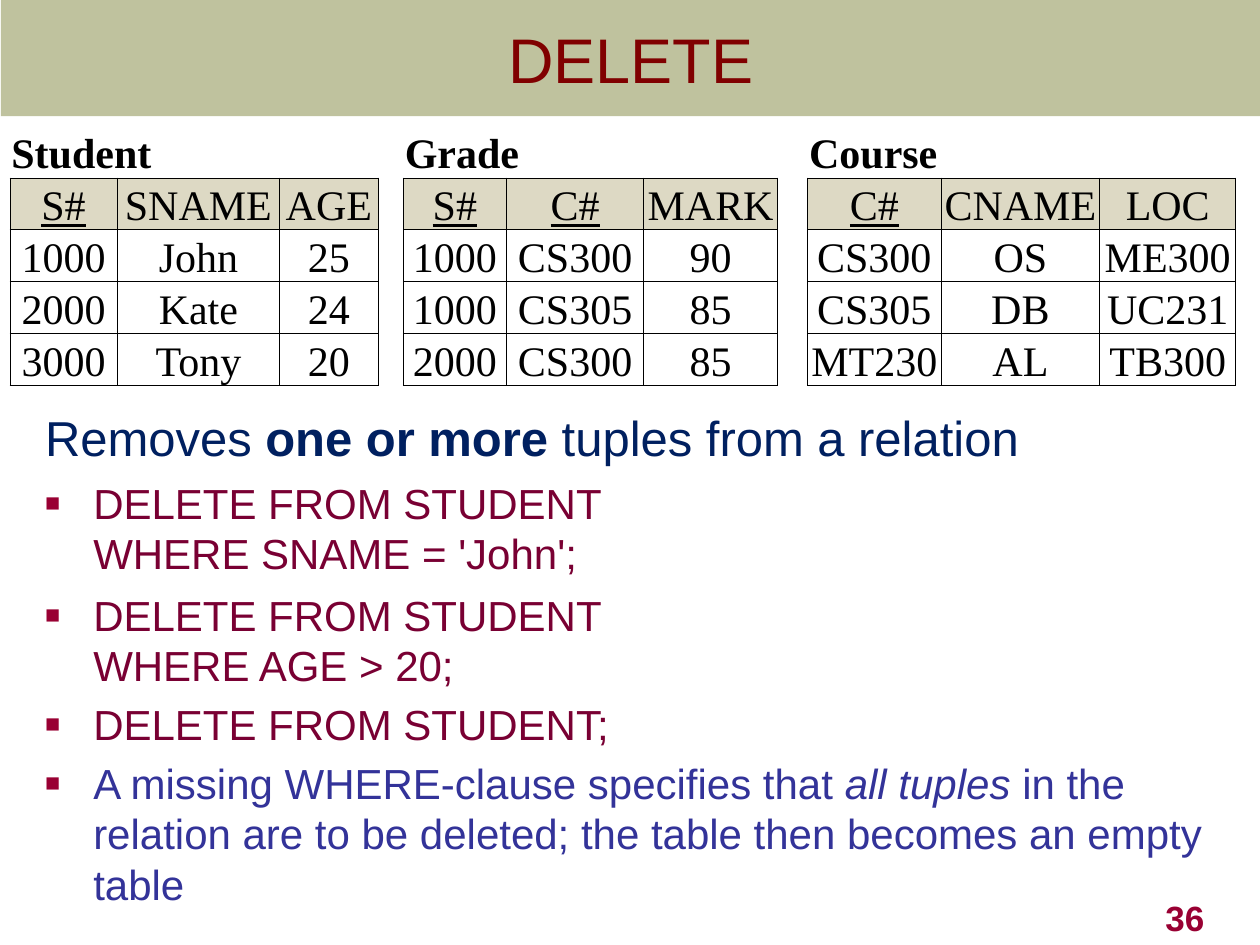
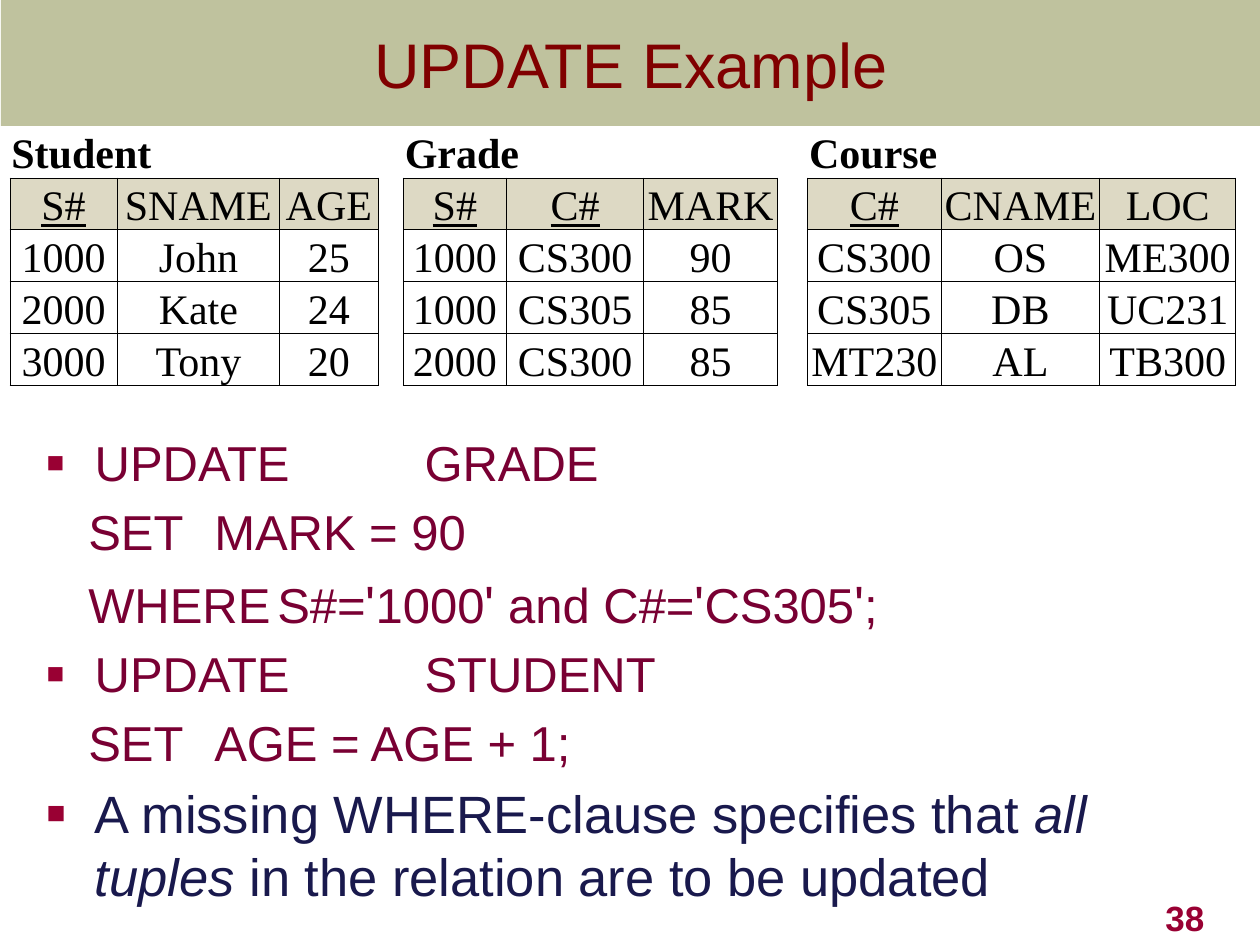
from lxml import etree
from pptx import Presentation
from pptx.dml.color import RGBColor
from pptx.enum.text import MSO_ANCHOR, MSO_AUTO_SIZE, PP_ALIGN
from pptx.oxml.ns import qn
from pptx.util import Cm, Pt

CENTER, LEFT, RIGHT = PP_ALIGN.CENTER, PP_ALIGN.LEFT, PP_ALIGN.RIGHT
MIDDLE, BOTTOM, TOP = MSO_ANCHOR.MIDDLE, MSO_ANCHOR.BOTTOM, MSO_ANCHOR.TOP
NO_AUTOFIT = MSO_AUTO_SIZE.NONE

COLORS = {
    "band": "6E7524", "title": "800000", "accent": "990033", "sql": "790033",
    "intro": "002060", "delete_note": "333399", "update_note": "19194D",
    "header": "DDD9C4", "white": "FFFFFF", "black": "000000",
}
BAND_OPACITY = 44
NO_STYLE_TABLE = "{2D5ABB26-0587-4C30-8999-92F81FD0307C}"
BULLET_INDENT, SQL_INDENT, SQL_TAB = Cm(0.97), Cm(0.84), Cm(7.62)

# Relations shown on both slides: name, key columns, rows, column widths in cm
RELATIONS = [
    ("Student", ["S#"], [["S#", "SNAME", "AGE"], ["1000", "John", "25"],
                         ["2000", "Kate", "24"], ["3000", "Tony", "20"]],
     [2.16, 3.28, 1.98]),
    ("Grade", ["S#", "C#"], [["S#", "C#", "MARK"], ["1000", "CS300", "90"],
                             ["1000", "CS305", "85"], ["2000", "CS300", "85"]],
     [2.08, 2.77, 2.69]),
    ("Course", ["C#"], [["C#", "CNAME", "LOC"], ["CS300", "OS", "ME300"],
                        ["CS305", "DB", "UC231"], ["MT230", "AL", "TB300"]],
     [2.69, 3.2, 2.74]),
]
GAPS = [0.51, 0.61]
ROW_HEIGHT = 0.97

# Each line: text, bulleted, size, colour, format of the parts between bars
SLIDES = [
    {"title": "DELETE", "band_height": 2.34, "number": "36",
     "body": (0.66, 8.08, 24.1, 10.97),
     "lines": [
         ("Removes |one or more |tuples from a relation", False, 28, "intro", {"bold": True}),
         ("DELETE FROM STUDENT\vWHERE SNAME = 'John';", True, 24, "sql", {}),
         ("DELETE FROM STUDENT\vWHERE AGE > 20;", True, 24, "sql", {}),
         ("DELETE FROM STUDENT;", True, 24, "sql", {}),
         ("A missing WHERE-clause specifies that |all tuples| in the relation are to be "
          "deleted; the table then becomes an empty table",
          True, 24, "delete_note", {"italic": True}),
     ]},
    {"title": "UPDATE Example", "band_height": 2.54, "number": "38",
     "body": (0.69, 8.59, 24.1, 9.19),
     "lines": [
         ("UPDATE\tGRADE", True, 28, "sql", {}),
         ("SET\tMARK = 90", False, 28, "sql", {}),
         ("WHERE\tS#=|'|1000|'| and C#=|'|CS305|'|;", False, 28, "sql", {"size": 30}),
         ("UPDATE\tSTUDENT", True, 28, "sql", {}),
         ("SET\tAGE = AGE + 1;", False, 28, "sql", {}),
         ("A missing WHERE-clause specifies that |all tuples| in the relation are to be "
          "updated", True, 30, "update_note", {"italic": True}),
     ]},
]


def style_font(font, size, color, name="Arial", **extras):
    font.name, font.size = name, Pt(size)
    font.color.rgb = RGBColor.from_string(COLORS[color])
    for attribute, value in extras.items():
        setattr(font, attribute, value)


def fill_cell(cell, text, fill, sides, align=CENTER, **extras):
    cell.margin_left = cell.margin_right = cell.margin_top = Cm(0.03)
    cell.margin_bottom = 0
    cell.vertical_anchor = BOTTOM
    properties = cell._tc.get_or_add_tcPr()
    for side in sides:
        border = etree.SubElement(properties, qn(f"a:ln{side}"), w=str(Pt(0.5)))
        solid = etree.SubElement(border, qn("a:solidFill"))
        etree.SubElement(solid, qn("a:srgbClr"), val=COLORS["black"])
    cell.fill.solid()
    cell.fill.fore_color.rgb = RGBColor.from_string(COLORS[fill])
    if text:
        paragraph = cell.text_frame.paragraphs[0]
        paragraph.text = text
        paragraph.alignment = align
        style_font(paragraph.runs[0].font, 24, "black", "Times New Roman", **extras)


prs = Presentation()
prs.slide_width, prs.slide_height = Cm(25.4), Cm(19.05)

for content in SLIDES:
    slide = prs.slides.add_slide(prs.slide_layouts[1])

    # Title on its translucent band
    title = slide.shapes.title
    title.left, title.top = Cm(0.02), Cm(0)
    title.width, title.height = Cm(25.4), Cm(content["band_height"])
    title.fill.solid()
    title.fill.fore_color.rgb = RGBColor.from_string(COLORS["band"])
    band_color = title.fill._xPr.find(".//" + qn("a:srgbClr"))
    etree.SubElement(band_color, qn("a:alpha"), val=str(BAND_OPACITY * 1000))
    title.text_frame.text = content["title"]
    title.text_frame.vertical_anchor = MIDDLE
    title.text_frame.auto_size = NO_AUTOFIT
    title.text_frame.paragraphs[0].alignment = CENTER
    style_font(title.text_frame.paragraphs[0].runs[0].font, 36, "title")

    # Statements and remarks
    body = slide.placeholders[1]
    body.left, body.top, body.width, body.height = map(Cm, content["body"])
    frame = body.text_frame
    frame.auto_size, frame.vertical_anchor = NO_AUTOFIT, TOP
    frame.margin_left, frame.margin_right = Cm(0.25), 0
    frame.margin_top = frame.margin_bottom = Cm(0.13)
    for index, (text, bulleted, size, color, emphasis) in enumerate(content["lines"]):
        paragraph = frame.add_paragraph() if index else frame.paragraphs[0]
        plain = {"size": size, "color": color}
        for part_index, part in enumerate(text.split("|")):
            for row, words in enumerate(part.split("\v")):
                if row:
                    paragraph.add_line_break()
                run = paragraph.add_run()
                run.text = words
                style_font(run.font, **(plain | emphasis if part_index % 2 else plain))

        layout = paragraph._p.get_or_add_pPr()
        if bulleted:
            layout.set("marL", str(BULLET_INDENT))
            layout.set("indent", str(-BULLET_INDENT))
            bullet_color = etree.SubElement(layout, qn("a:buClr"))
            etree.SubElement(bullet_color, qn("a:srgbClr"), val=COLORS["accent"])
            etree.SubElement(layout, qn("a:buSzPct"), val="60000")
            etree.SubElement(layout, qn("a:buFont"), typeface="Arial")
            etree.SubElement(layout, qn("a:buChar"), char="■")
        else:
            layout.set("marL", str(SQL_INDENT if "\t" in text else 0))
            layout.set("indent", "0")
            etree.SubElement(layout, qn("a:buNone"))
        if "\t" in text:
            tabs = etree.SubElement(layout, qn("a:tabLst"))
            etree.SubElement(tabs, qn("a:tab"), pos=str(SQL_TAB), algn="l")

    # Slide number
    number = slide.shapes.add_textbox(Cm(19.25), Cm(17.78), Cm(5.28), Cm(1.27)).text_frame
    number.word_wrap = True
    number.vertical_anchor = BOTTOM
    number.text = content["number"]
    number.paragraphs[0].alignment = RIGHT
    style_font(number.paragraphs[0].runs[0].font, 20, "accent", bold=True)

    # The three relations side by side in one table, parted by narrow columns
    widths = []
    for relation, gap in zip(RELATIONS, GAPS + [None]):
        widths += relation[3] + ([gap] if gap else [])
    table_frame = slide.shapes.add_table(5, len(widths), Cm(0.2), Cm(2.54),
                                         Cm(sum(widths)), Cm(5 * ROW_HEIGHT))
    table = table_frame.table
    table.first_row = table.horz_banding = False
    table._tbl.tblPr.find(qn("a:tableStyleId")).text = NO_STYLE_TABLE
    for column, width in zip(table.columns, widths):
        column.width = Cm(width)
    for table_row in table.rows:
        table_row.height = Cm(ROW_HEIGHT)

    for position, (name, keys, records, _) in enumerate(RELATIONS):
        first = position * 4
        for offset in range(3):
            fill_cell(table.cell(0, first + offset), "" if offset else name,
                      "white", "B", LEFT, bold=True)
        table.cell(0, first).merge(table.cell(0, first + 2))
        for row, record in enumerate(records, start=1):
            for offset, value in enumerate(record):
                fill_cell(table.cell(row, first + offset), value,
                          "header" if row == 1 else "white", "LRTB",
                          underline=row == 1 and value in keys)
        if position < len(GAPS):
            for row in range(5):
                fill_cell(table.cell(row, first + 3), "", "white", "LR" if row else "")

prs.save("out.pptx")
